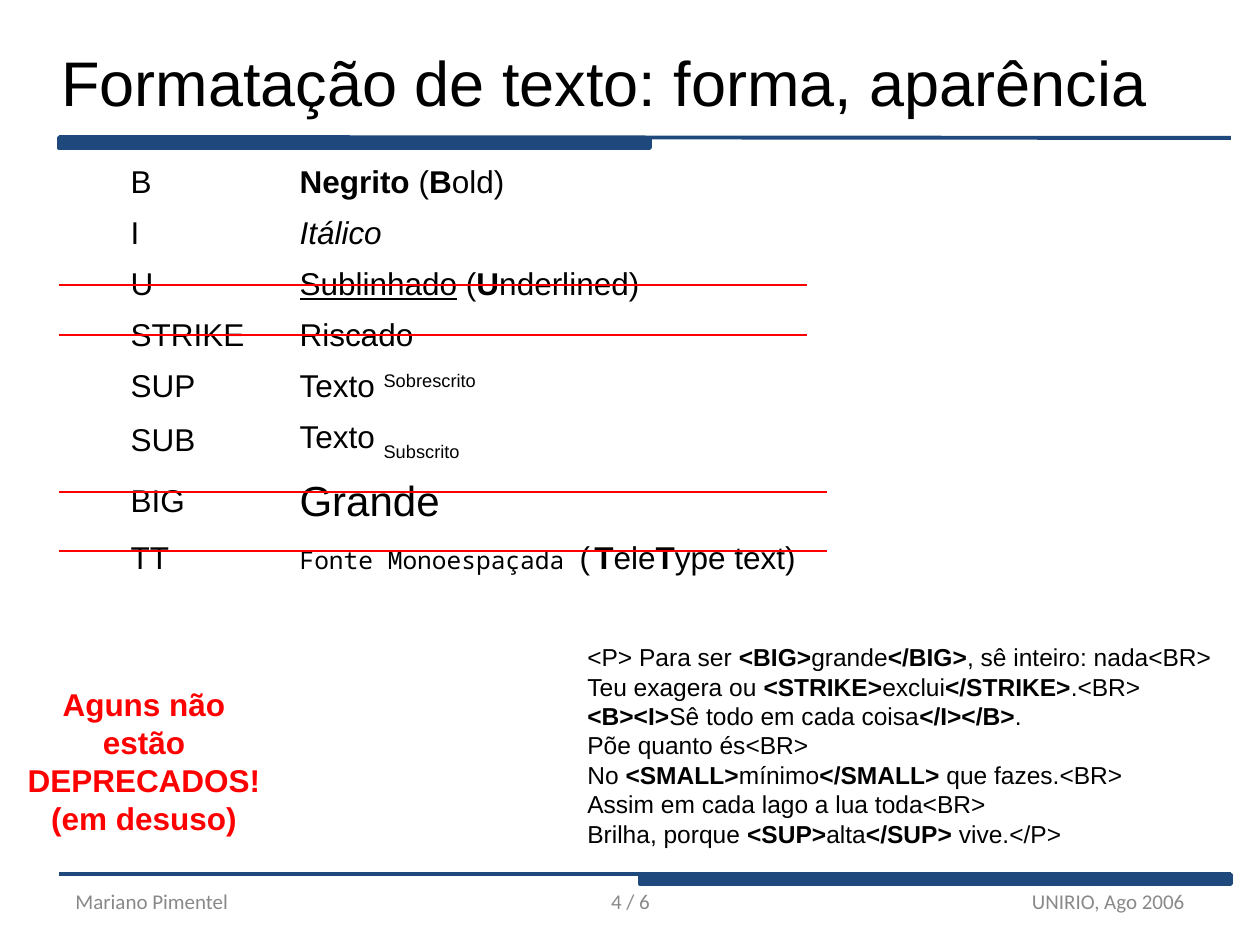
from pptx import Presentation
from pptx.dml.color import RGBColor
from pptx.enum.shapes import MSO_CONNECTOR, MSO_SHAPE
from pptx.enum.text import MSO_ANCHOR, PP_ALIGN
from pptx.util import Emu, Pt
from lxml.etree import SubElement
from pptx.oxml.ns import qn

NAVY, RED, BLACK, GRAY = "1F497D", "FF0000", "000000", "898989"
LEFT, MID, RIGHT = PP_ALIGN.LEFT, PP_ALIGN.CENTER, PP_ALIGN.RIGHT


def px(n):
    return Emu(round(n * 914400 / 126))


def color(text):
    return RGBColor.from_string(text)


class Page:
    """Draws styled elements on one slide, with lengths in px."""

    def __init__(self, slide, face="Arial"):
        self.shapes = slide.shapes
        self.face = face

    def fill(self, par, pieces, size, tint=BLACK, face=None, align=LEFT):
        """Fill a paragraph; asterisks switch bold, tuples carry font settings."""
        par.alignment = align
        font = par.font
        font.size, font.name = Pt(size), face or self.face
        font.color.rgb = color(tint)
        for piece in pieces:
            text, style = piece if isinstance(piece, tuple) else (piece, {})
            for i, part in enumerate(text.split("*")):
                if not part:
                    continue
                run = par.add_run()
                run.text = part
                if i % 2:
                    run.font.bold = True
                self.style(run, **style)

    def style(self, run, size=None, name=None, italic=None, under=None, base=None):
        font = run.font
        font.italic, font.underline = italic, under
        if size:
            font.size = Pt(size)
        if name:
            font.name = name
        if base:
            run._r.get_or_add_rPr().set("baseline", str(base))

    def text(self, box, lines, size, anchor=MSO_ANCHOR.TOP, wrap=True, **look):
        frame = self.shapes.add_textbox(*map(px, box)).text_frame
        frame.word_wrap, frame.vertical_anchor = wrap, anchor
        for i, line in enumerate(lines):
            par = frame.add_paragraph() if i else frame.paragraphs[0]
            self.fill(par, [line], size, **look)

    def line(self, x1, y1, x2, y2, tint, width):
        line = self.shapes.add_connector(MSO_CONNECTOR.STRAIGHT, *map(px, (x1, y1, x2, y2)))
        line.line.color.rgb, line.line.width = color(tint), Pt(width)
        SubElement(line._element.spPr, qn("a:effectLst"))

    def bar(self, box, tint, width):
        bar = self.shapes.add_shape(MSO_SHAPE.RECTANGLE, *map(px, box))
        bar.shadow.inherit = False
        bar.fill.solid()
        bar.fill.fore_color.rgb = bar.line.color.rgb = color(tint)
        bar.line.width = Pt(width)

    def table(self, x, y, cols, rows, data, size):
        box = map(px, (x, y, sum(cols), sum(rows)))
        table = self.shapes.add_table(len(rows), len(cols), *box).table
        table.first_row = table.horz_banding = False
        for col, width in zip(table.columns, cols):
            col.width = px(width)
        for row, height, line in zip(table.rows, rows, data):
            row.height = px(height)
            for cell, pieces in zip(row.cells, line):
                cell.fill.background()
                cell.vertical_anchor = MSO_ANCHOR.MIDDLE
                par = cell.text_frame.paragraphs[0]
                props = par._p.get_or_add_pPr()
                props.set("marL", str(px(48)))
                props.set("indent", str(px(-48)))
                self.fill(par, pieces, size)


TAGS = [
    (["B"], ["*Negrito* (*B*old)"]),
    (["I"], [("Itálico", {"italic": True})]),
    (["U"], [("Sublinhado", {"under": True}), " (*U*nderlined)"]),
    (["STRIKE"], ["Riscado"]),
    (["SUP"], ["Texto ", ("Sobrescrito", {"base": 30000})]),
    (["SUB"], ["Texto ", ("Subscrito", {"base": -30000})]),
    (["BIG"], [("Grande", {"size": 24})]),
    (["TT"], [("Fonte Monoespaçada ", {"size": 14, "name": "Noto Sans Mono"}),
              "(", (" ", {"size": 9}), "*T*ele*T*ype text)"]),
]
POEM = [
    "<P> Para ser *<BIG>*grande*</BIG>*, sê inteiro: nada<BR>",
    "Teu exagera ou *<STRIKE>*exclui*</STRIKE>*.<BR>",
    "*<B><I>*Sê todo em cada coisa*</I></B>*.",
    "Põe quanto és<BR>",
    "No *<SMALL>*mínimo*</SMALL>* que fazes.<BR>",
    "Assim em cada lago a lua toda<BR>",
    "Brilha, porque *<SUP>*alta*</SUP>* vive.</P>",
]
FOOT = [
    (63, 294, "Mariano Pimentel", LEFT),
    (431, 399, "4 / 6", MID),
    (903, 294, "UNIRIO, Ago 2006", RIGHT),
]
NOTE = ["*Aguns não estão*", "*DEPRECADOS!*", "*(em desuso)*"]
CUTS = [(285, 807), (335, 807), (492, 827), (551, 827)]


def main():
    deck = Presentation()
    deck.slide_width, deck.slide_height = px(1260), px(945)
    page = Page(deck.slides.add_slide(deck.slide_layouts[6]))
    middle = MSO_ANCHOR.MIDDLE

    page.line(59, 137, 1231, 138, NAVY, 2.25)
    page.bar((59, 138, 591, 10), NAVY, 2.25)
    page.line(1231, 874, 59, 874, NAVY, 2.25)
    page.bar((640, 875, 591, 9), NAVY, 2.25)
    page.text((49, 38, 1211, 87), ["Formatação de texto: forma, aparência"], 36, middle)
    page.table(118, 157, [169, 576], [51] * 5 + [58, 63, 51], TAGS, 18)
    for x, width, text, align in FOOT:
        page.text((x, 876, width, 50), [text], 12, middle,
                  tint=GRAY, face="Calibri", align=align)
    page.line(295, 335, 415, 335, BLACK, 0.75)
    page.text((575, 636, 656, 219), POEM, 14)
    page.text((5, 679, 278, 126), NOTE, 18, wrap=False, tint=RED, align=MID)
    for y, end in CUTS:
        page.line(59, y, end, y, RED, 1.5)
    deck.save("out.pptx")


if __name__ == "__main__":
    main()
